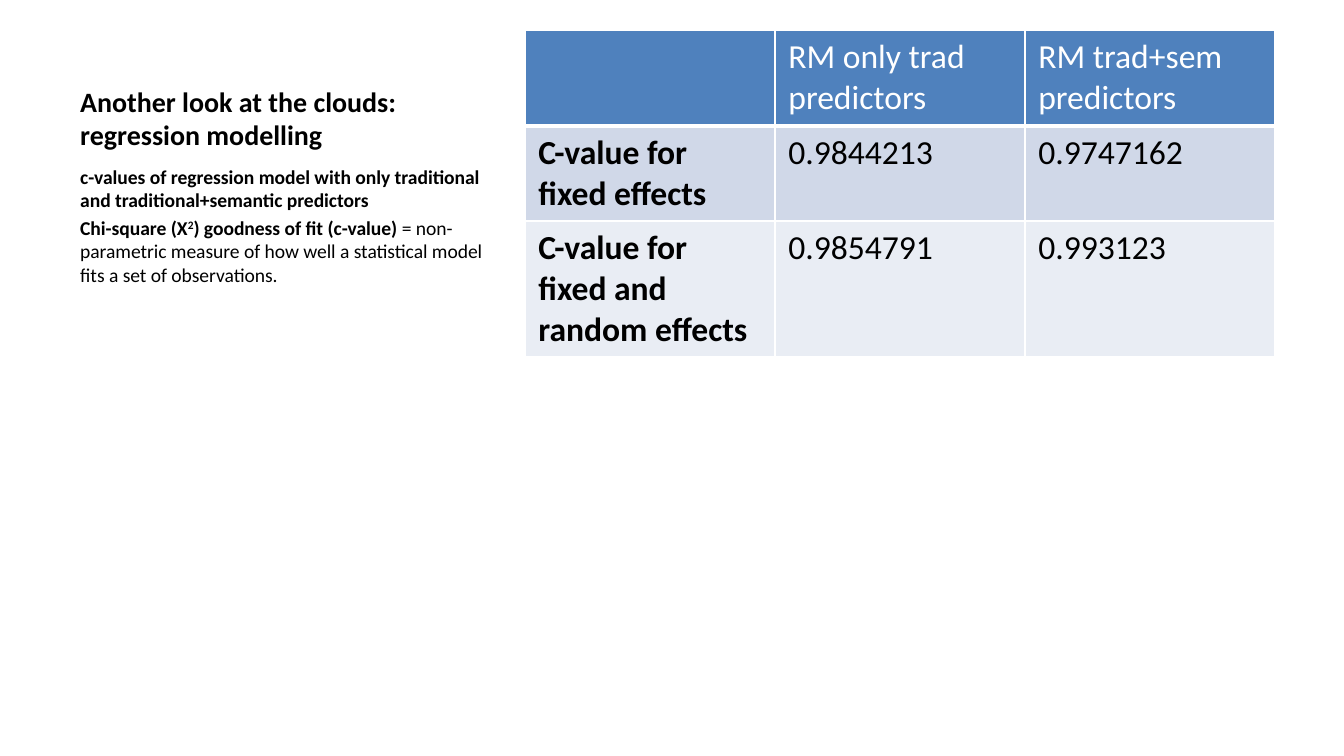
import pptx
import pptx.dml.color
import pptx.enum.text
import pptx.oxml.ns
import pptx.util
from lxml import etree

EMU_PER_PX = 914400 / 134.4
FONT = "Calibri"
COLORS = {
    "black": "000000",
    "white": "FFFFFF",
    "header": "4F81BD",
    "odd_row": "D0D8E8",
    "even_row": "E9EDF4",
}
TITLE = "Another look at the clouds: regression modelling"
NOTES = [
    [("c-values of regression model with only traditional and traditional+semantic predictors", True, 0)],
    [
        ("Chi-square (Χ", True, 0),
        ("2", True, 30),
        (") goodness of fit (c-value)", True, 0),
        (" = non-parametric measure of how well a statistical model fits a set of observations.", False, 0),
    ],
]
C_VALUES = [
    ["", "RM only trad predictors", "RM trad+sem predictors"],
    ["C-value for fixed effects", "0.9844213", "0.9747162"],
    ["C-value for fixed and random effects", "0.9854791", "0.993123"],
]
ROW_FILLS = ["header", "odd_row", "even_row"]
ROW_HEIGHTS = [96, 95, 136]
COLUMN_WIDTH = 250


def px(length):
    return pptx.util.Emu(round(length * EMU_PER_PX))


def rgb(name):
    return pptx.dml.color.RGBColor.from_string(COLORS[name])


def style_font(font, size, color="black", bold=None):
    font.name = FONT
    font.size = pptx.util.Pt(size)
    font.color.rgb = rgb(color)
    font.bold = bold


def add_text_box(slide, left, top, width, height, anchor):
    shape = slide.shapes.add_textbox(px(left), px(top), px(width), px(height))
    shape.text_frame.word_wrap = True
    shape.text_frame.vertical_anchor = anchor
    return shape.text_frame


def add_title(slide):
    frame = add_text_box(slide, 67, 30, 442, 128, pptx.enum.text.MSO_ANCHOR.BOTTOM)
    frame.text = TITLE
    style_font(frame.paragraphs[0].font, 15, bold=True)


def add_notes(slide):
    frame = add_text_box(slide, 67, 158, 442, 517, pptx.enum.text.MSO_ANCHOR.TOP)
    for index, pieces in enumerate(NOTES):
        paragraph = frame.add_paragraph() if index else frame.paragraphs[0]
        paragraph.space_before = pptx.util.Pt(2.1)
        style_font(paragraph.font, 10.5)
        for text, bold, raised_percent in pieces:
            run = paragraph.add_run()
            run.text = text
            run.font.bold = bold
            if raised_percent:
                run._r.get_or_add_rPr().set("baseline", str(raised_percent * 1000))


def set_borders(cell, bottom_points):
    qn = pptx.oxml.ns.qn
    properties = cell._tc.get_or_add_tcPr()
    for side, points in (("L", 1), ("R", 1), ("T", 1), ("B", bottom_points)):
        line = etree.SubElement(properties, qn(f"a:ln{side}"), w=str(pptx.util.Pt(points)))
        fill = etree.SubElement(line, qn("a:solidFill"))
        etree.SubElement(fill, qn("a:srgbClr"), val=COLORS["white"])


def add_c_value_table(slide):
    column_count = len(C_VALUES[0])
    frame = slide.shapes.add_table(
        len(C_VALUES), column_count, px(525), px(30),
        px(COLUMN_WIDTH * column_count), px(sum(ROW_HEIGHTS)),
    )
    table = frame.table
    for column in table.columns:
        column.width = px(COLUMN_WIDTH)
    for row_index, texts in enumerate(C_VALUES):
        table.rows[row_index].height = px(ROW_HEIGHTS[row_index])
        is_header = row_index == 0
        for column_index, text in enumerate(texts):
            cell = table.cell(row_index, column_index)
            set_borders(cell, 3 if is_header else 1)
            cell.fill.solid()
            cell.fill.fore_color.rgb = rgb(ROW_FILLS[row_index])
            cell.text = text
            style_font(
                cell.text_frame.paragraphs[0].font, 18,
                "white" if is_header else "black",
                not is_header and column_index == 0,
            )


def main():
    presentation = pptx.Presentation()
    presentation.slide_width = px(1344)
    presentation.slide_height = px(756)
    slide = presentation.slides.add_slide(presentation.slide_layouts[6])
    add_title(slide)
    add_notes(slide)
    add_c_value_table(slide)
    presentation.save("out.pptx")


if __name__ == "__main__":
    main()
